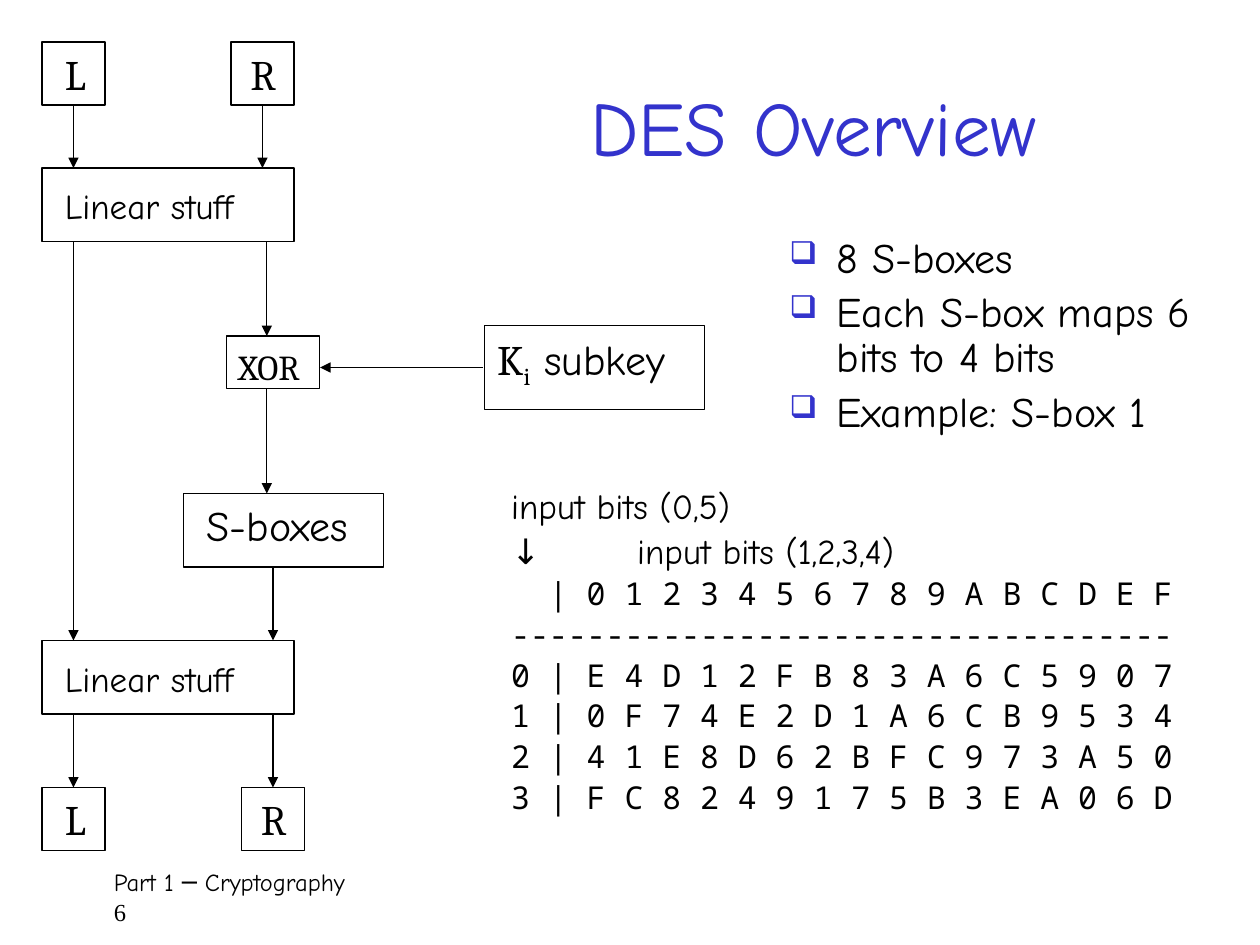
from pptx import Presentation
from pptx.dml.color import RGBColor
from pptx.enum.shapes import MSO_CONNECTOR as Connector, MSO_SHAPE as Shape
from pptx.enum.text import MSO_ANCHOR as Anchor, PP_ALIGN as Align
from pptx.oxml.ns import qn
from pptx.util import Pt
from lxml.etree import SubElement

BLACK = RGBColor(0x00, 0x00, 0x00)
BLUE = RGBColor(0x33, 0x33, 0xCC)
HAND = "Comic Neue"
SERIF = "Cambria"
MONO = "Noto Sans Mono"
ROMAN = "Times New Roman"


class SlideBuilder:
    line_width = Pt(0.75)

    def __init__(self, page):
        self.page = page

    def frame(self, left, top, width, height):
        box = self.page.shapes.add_shape(
            Shape.RECTANGLE, Pt(left), Pt(top), Pt(width), Pt(height))
        box.shadow.inherit = False
        box.fill.background()
        box.line.color.rgb = BLACK
        box.line.width = self.line_width

    def arrow(self, x1, y1, x2, y2):
        link = self.page.shapes.add_connector(
            Connector.STRAIGHT, Pt(x1), Pt(y1), Pt(x2), Pt(y2))
        link.line.color.rgb = BLACK
        link.line.width = self.line_width
        properties = link._element.spPr
        SubElement(properties.find(qn("a:ln")), qn("a:tailEnd"), type="triangle")
        SubElement(properties, qn("a:effectLst"))

    def text_box(self, left, top, width, height, wrap=False):
        box = self.page.shapes.add_textbox(Pt(left), Pt(top), Pt(width), Pt(height))
        box.text_frame.word_wrap = wrap
        return box.text_frame

    def span(self, para, text, size, font=HAND, color=BLACK):
        span = para.add_run()
        span.text = text
        span.font.size = Pt(size)
        span.font.name = font
        span.font.color.rgb = color
        return span

    def label(self, text, left, top, width, height, size=24, font=HAND):
        area = self.text_box(left, top, width, height)
        self.span(area.paragraphs[0], text, size, font)

    def lines(self, area, rows):
        for index, (text, size, font) in enumerate(rows):
            para = area.paragraphs[0] if index == 0 else area.add_paragraph()
            para.line_spacing = 0.9
            para.space_before = Pt(size * 0.21)
            self.span(para, text, size, font)

    def indent(self, para, margin, first=0):
        properties = para._p.get_or_add_pPr()
        properties.set("marL", str(Pt(margin)))
        properties.set("indent", str(Pt(first)))
        return properties

    def bullet(self, para):
        properties = self.indent(para, 27, -27)
        color = SubElement(properties, qn("a:buClr"))
        SubElement(color, qn("a:srgbClr"), val=str(BLUE))
        SubElement(properties, qn("a:buSzPct"), val="75000")
        SubElement(properties, qn("a:buChar"), char="❑")


def draw_flow(builder):
    for top, right_x in ((24, 132), (450, 138)):
        for text, left, offset, width in (("L", 24, 6, 28), ("R", right_x, 4, 32)):
            builder.frame(left, top, 36, 36)
            builder.label(text, left + offset, top, width, 36, font=SERIF)
    for top in (96, 366):
        builder.frame(24, top, 144, 42)
        builder.label("Linear stuff", 30, top + 6, 132, 35, 20)

    builder.frame(129.5, 192, 53, 30)
    builder.label("XOR", 129, 193.8, 57.5, 31, 20, SERIF)
    builder.frame(105, 282, 114, 42)
    builder.label("S-boxes", 111, 282, 107, 41)

    builder.frame(277, 186, 125.5, 48)
    para = builder.text_box(277, 187, 118, 41).paragraphs[0]
    builder.span(para, "K", 24, SERIF)
    subscript = builder.span(para, "i", 24, SERIF)
    subscript._r.get_or_add_rPr().set("baseline", "-25000")
    builder.span(para, " subkey", 24)

    builder.arrow(276, 210, 183, 210)
    for x, start, end in (
        (42, 60, 96), (150, 60, 96),
        (42, 138, 366), (152.5, 138, 192),
        (152.5, 222, 282), (156, 324, 366),
        (42, 408, 450), (156, 408, 450),
    ):
        builder.arrow(x, start, x, end)


def draw_texts(builder):
    title = builder.text_box(246, 24, 438, 96, wrap=True)
    title.vertical_anchor = Anchor.MIDDLE
    title.paragraphs[0].alignment = Align.CENTER
    builder.span(title.paragraphs[0], "DES Overview", 44, color=BLUE)

    body = builder.text_box(444, 132, 246, 138, wrap=True)
    points = ("8 S-boxes", "Each S-box maps 6 bits to 4 bits", "Example: S-box 1")
    builder.lines(body, [(text, 24, HAND) for text in points])
    for para in body.paragraphs:
        builder.bullet(para)

    footer = builder.text_box(54, 492, 618, 36, wrap=True).paragraphs[0]
    builder.indent(footer, 4)
    builder.span(footer, "Part 1 ─ Cryptography", 14)
    footer.add_line_break()
    builder.span(footer, "6", 14, ROMAN)


def draw_s_box(builder):
    outputs = ("E4D12FB83A6C5907", "0F74E2D1A6CB9534",
               "41E8D62BFC973A50", "FC8249175B3EA06D")
    table = ["| " + " ".join("0123456789ABCDEF"), "-" * 35]
    table += [f"{row} | " + " ".join(values) for row, values in enumerate(outputs)]
    rows = [("input bits (0,5)", 20, HAND), ("↓\t\tinput bits (1,2,3,4)", 20, HAND)]
    rows += [(text, 18, MONO) for text in table]
    area = builder.text_box(285, 276, 392.4, 206.5)
    builder.lines(area, rows)
    builder.indent(area.paragraphs[2], 21.6)


def main():
    deck = Presentation()
    deck.slide_width, deck.slide_height = Pt(720), Pt(540)
    builder = SlideBuilder(deck.slides.add_slide(deck.slide_layouts[6]))
    draw_flow(builder)
    draw_texts(builder)
    draw_s_box(builder)
    deck.save("out.pptx")


if __name__ == "__main__":
    main()
